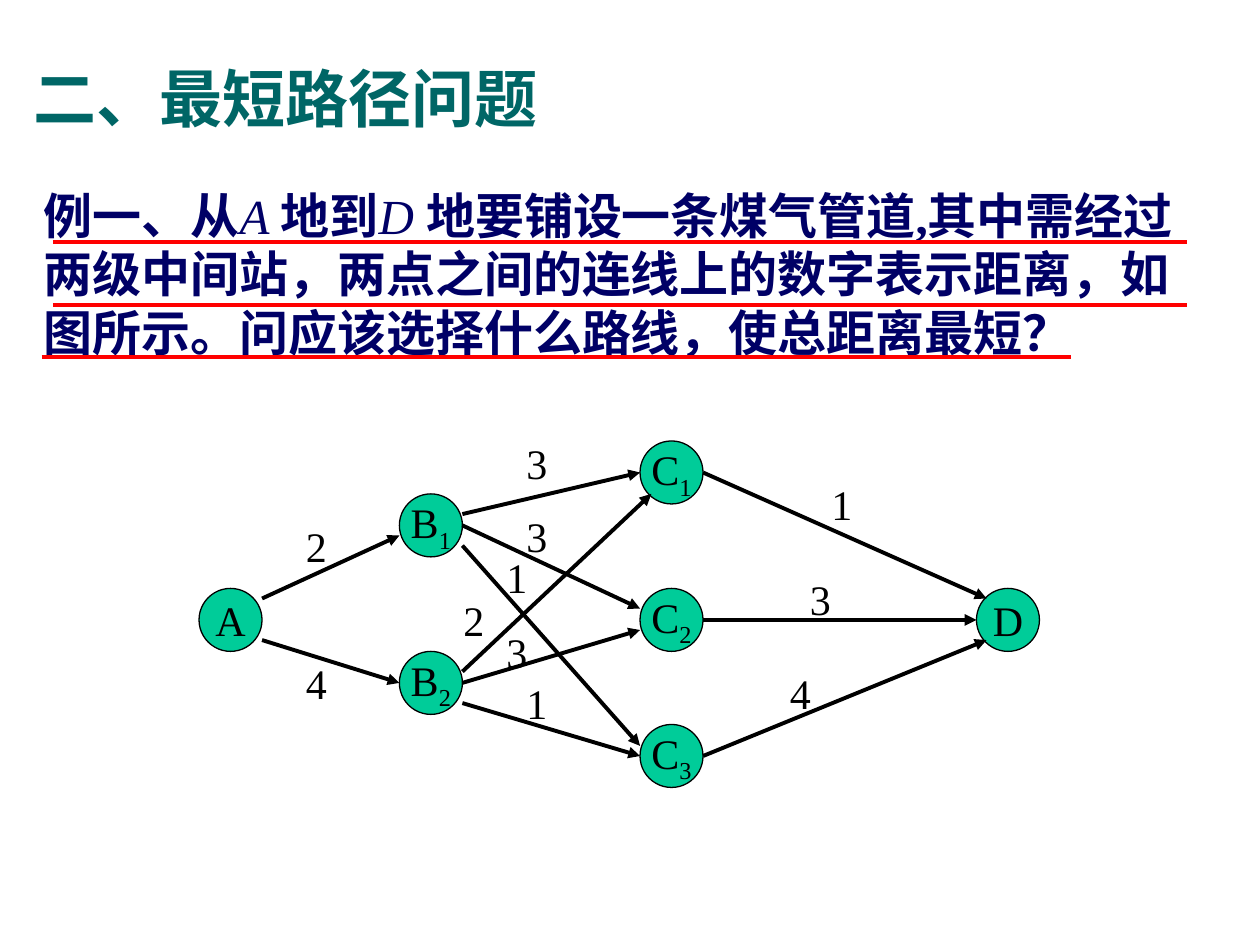
"""Build the shortest path slide with its network of stations."""
from dataclasses import dataclass

from lxml import etree
from pptx import Presentation, util as u
from pptx.dml.color import RGBColor
from pptx.enum import shapes, text
from pptx.oxml import ns


@dataclass(frozen=True)
class Theme:
    face: str = "Times New Roman"
    ink: str = "000000"
    title: str = "006666"
    body: str = "000066"
    node: str = "00CC99"
    rule: str = "FF0000"
    head: int = 36
    lead: int = 28
    small: int = 24
    thin: float = 0.75
    thick: float = 2.25


class Board:
    def __init__(self, slide, theme):
        self.slide = slide
        self.theme = theme

    def style(self, run, size, color, bold=False, italic=False):
        font = run.font
        font.name, font.size = self.theme.face, u.Pt(size)
        font.bold, font.italic = bold, italic
        font.color.rgb = RGBColor.from_string(color)

    def box(self, left, top, width, height, parts, size, color, wrap=True):
        shape = self.slide.shapes.add_textbox(*map(u.Inches, (left, top, width, height)))
        frame = shape.text_frame
        frame.word_wrap = wrap
        for words, bold, italic in parts:
            run = frame.paragraphs[0].add_run()
            run.text = words
            self.style(run, size, color, bold, italic)

    def label(self, left, top, words):
        self.box(left, top, 0.37, 0.5, [(words, False, False)],
                 self.theme.small, self.theme.ink, wrap=False)

    def node(self, left, top, name):
        look = self.theme
        shape = self.slide.shapes.add_shape(
            shapes.MSO_SHAPE.OVAL, *map(u.Inches, (left, top, 0.5, 0.5)))
        shape.shadow.inherit = False
        shape.fill.solid()
        shape.fill.fore_color.rgb = RGBColor.from_string(look.node)
        shape.line.color.rgb = RGBColor.from_string(look.ink)
        shape.line.width = u.Pt(look.thin)
        frame = shape.text_frame
        frame.word_wrap = False
        frame.vertical_anchor = text.MSO_ANCHOR.MIDDLE
        para = frame.paragraphs[0]
        para.alignment = text.PP_ALIGN.CENTER
        for sign in name:
            run = para.add_run()
            run.text = sign
            self.style(run, look.small, look.ink)
            if sign.isdigit():
                run.font._element.set("baseline", "-25000")

    def line(self, start, end, color, arrow=False):
        link = self.slide.shapes.add_connector(
            shapes.MSO_CONNECTOR.STRAIGHT, *map(u.Inches, (*start, *end)))
        link.line.color.rgb = RGBColor.from_string(color)
        link.line.width = u.Pt(self.theme.thick)
        if arrow:
            tip = etree.SubElement(link.line._get_or_add_ln(), ns.qn("a:tailEnd"))
            tip.set("type", "triangle")
        etree.SubElement(link._element.spPr, ns.qn("a:effectLst"))


NODES = [
    (1.58, 4.67, "A"), (3.17, 3.92, "B1"), (3.17, 5.17, "B2"), (5.08, 3.5, "C1"),
    (5.08, 4.67, "C2"), (5.08, 5.75, "C3"), (7.75, 4.67, "D"),
]
EDGES = [
    ((2.08, 4.75), (3.17, 4.25), (2.33, 4.08), "2"),
    ((2.08, 5.08), (3.17, 5.42), (2.33, 5.17), "4"),
    ((3.67, 4.08), (5.08, 3.75), (4.08, 3.42), "3"),
    ((3.67, 4.17), (5.08, 4.83), (4.08, 4), "3"),
    ((3.67, 4.33), (5.08, 5.92), (3.92, 4.33), "1"),
    ((3.67, 5.33), (5.17, 3.92), (3.58, 4.67), "2"),
    ((3.67, 5.42), (5.08, 5), (3.92, 4.92), "3"),
    ((3.67, 5.58), (5.08, 6), (4.08, 5.33), "1"),
    ((5.58, 3.75), (7.83, 4.75), (6.5, 3.75), "1"),
    ((5.58, 4.92), (7.75, 4.92), (6.33, 4.5), "3"),
    ((5.58, 6), (7.83, 5.08), (6.17, 5.25), "4"),
]
RULES = [(0.42, 9.42, 1.92), (0.42, 9.42, 2.42), (0.33, 8.5, 2.83)]
TASK = [
    ("例一、从", True, False),
    ("A ", False, True),
    ("地到", True, False),
    ("D ", False, True),
    ("地要铺设一条煤气管道,其中需经过两级中间站，两点之间的连线上的数字表示距离，"
     "如图所示。问应该选择什么路线，使总距离最短？", True, False),
]


def main():
    deck = Presentation()
    deck.slide_width, deck.slide_height = u.Inches(10), u.Inches(7.5)
    look = Theme()
    board = Board(deck.slides.add_slide(deck.slide_layouts[6]), look)
    board.box(0.25, 1.42, 9.5, 1.5, TASK, look.lead, look.body)
    for node in NODES:
        board.node(*node)
    for start, end, _, _ in EDGES:
        board.line(start, end, look.ink, arrow=True)
    for _, _, spot, cost in EDGES:
        board.label(*spot, cost)
    for left, right, top in RULES:
        board.line((left, top), (right, top), look.rule)
    board.box(0.17, 0.42, 8.5, 1.25, [("二、最短路径问题", True, False)],
              look.head, look.title)
    deck.save("out.pptx")


if __name__ == "__main__":
    main()
